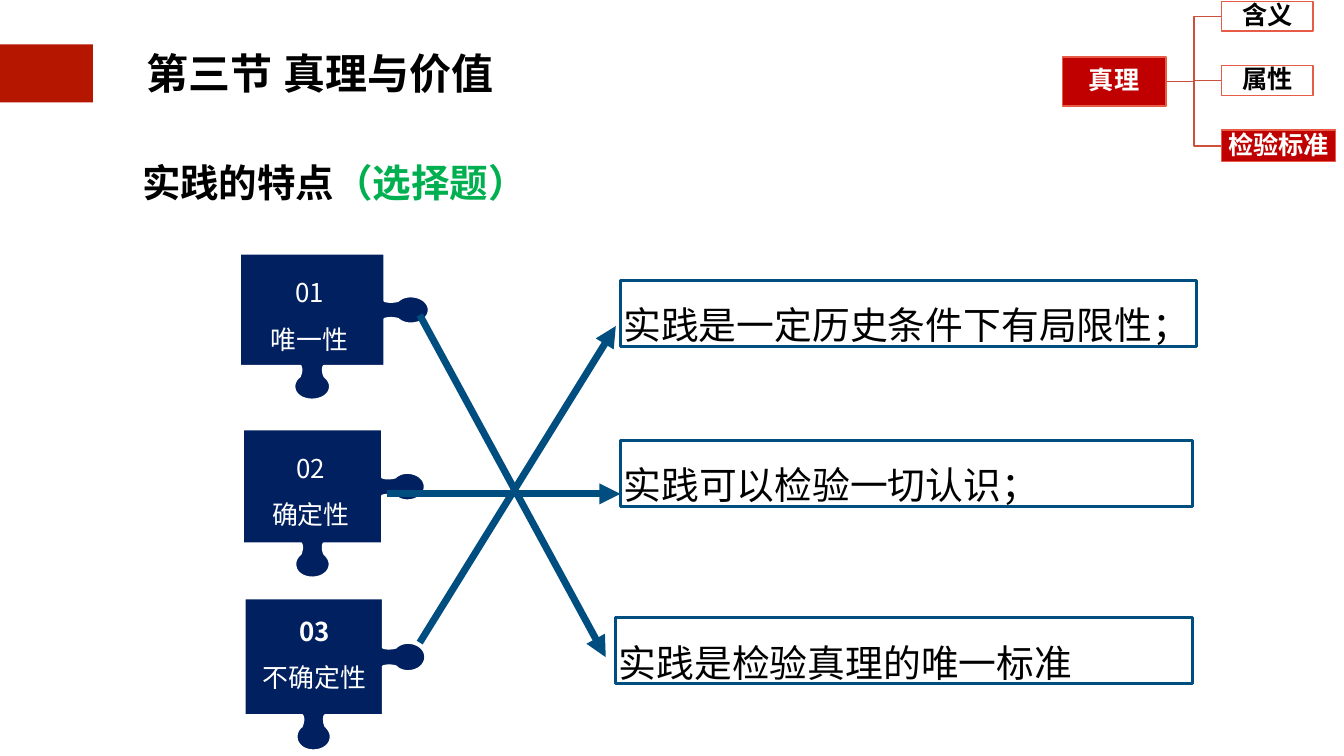
from lxml import etree
from pptx import Presentation
from pptx.dml.color import RGBColor
from pptx.enum.shapes import MSO_CONNECTOR, MSO_SHAPE
from pptx.enum.text import MSO_ANCHOR, MSO_AUTO_SIZE, PP_ALIGN
from pptx.oxml.ns import qn
from pptx.util import Inches, Pt

RECTANGLE = MSO_SHAPE.RECTANGLE
STRAIGHT = MSO_CONNECTOR.STRAIGHT
MIDDLE, TOP = MSO_ANCHOR.MIDDLE, MSO_ANCHOR.TOP
CENTER, LEFT = PP_ALIGN.CENTER, PP_ALIGN.LEFT
NO_FIT = MSO_AUTO_SIZE.NONE

THEME = {
    "font": "Noto Sans CJK SC", "title_font": "Roboto",
    "black": RGBColor.from_string("000000"),
    "white": RGBColor.from_string("FFFFFF"),
    "banner": RGBColor.from_string("B51600"),
    "navy": RGBColor.from_string("002060"),
    "blue": RGBColor.from_string("004D80"),
    "green": RGBColor.from_string("00B050"),
    "red": RGBColor.from_string("C00000"),
    "red_edge": RGBColor.from_string("E75B47"),
    "branch": RGBColor.from_string("CC503E"),
    "title": 60, "subtitle": 55, "statement": 54, "label": 37, "node": 36,
}

deck = Presentation()
deck.slide_width, deck.slide_height = Inches(26.67), Inches(15)
page = deck.slides.add_slide(deck.slide_layouts[5])
shapes = page.shapes


def share(*values):
    sides = (deck.slide_width, deck.slide_height)
    return [round(value * sides[i % 2] / 100) for i, value in enumerate(values)]


def write(box, lines, size, color, bold=False, align=CENTER, anchor=MIDDLE,
          spacing=1.0, inset=0.06, wrap=True, font=THEME["font"]):
    frame = box.text_frame
    frame.text = "\n".join(lines)
    frame.auto_size, frame.word_wrap, frame.vertical_anchor = NO_FIT, wrap, anchor
    frame.margin_left = frame.margin_right = Inches(inset)
    frame.margin_top = frame.margin_bottom = Inches(inset)
    for para in frame.paragraphs:
        para.alignment, para.line_spacing = align, spacing
        para.space_before = Pt(0)
        for span in para.runs:
            span.font.size, span.font.bold = Pt(size), bold
            span.font.color.rgb = color
            span.font.name = font
            east_asian = etree.SubElement(span.font._element, qn("a:ea"))
            east_asian.set("typeface", font)
    return frame


banner = shapes.add_shape(RECTANGLE, *share(-0.1, 5.87, 7.01, 7.67))
banner.shadow.inherit = False
banner.fill.solid()
banner.fill.fore_color.rgb = THEME["banner"]
banner.line.fill.background()

title = shapes.title
title.left, title.top, title.width, title.height = share(10.2, 5.4, 27.22, 8.53)
write(title, ["第三节 真理与价值"], THEME["title"], THEME["black"], bold=True,
      wrap=False, font=THEME["title_font"])

PIECE_WIDTH, PIECE_HEIGHT = 3.75, 2.9
RIGHT_KNOB = [
    (2.87, 0.94), (2.95, 0.97), (3.07, 0.96), (3.14, 0.94),
    (3.2, 0.88), (3.3, 0.85), (3.39, 0.85),
    (3.59, 0.85), (3.75, 0.97), (3.75, 1.12),
    (3.75, 1.27), (3.59, 1.39), (3.39, 1.39),
    (3.3, 1.39), (3.2, 1.36), (3.14, 1.3),
    (3.07, 1.28), (2.95, 1.27), (2.87, 1.3),
]
BOTTOM_KNOB = [
    (1.67, 2.23), (1.65, 2.25), (1.65, 2.28), (1.65, 2.31),
    (1.65, 2.36), (1.66, 2.4), (1.68, 2.44),
    (1.74, 2.49), (1.79, 2.56), (1.79, 2.64),
    (1.79, 2.79), (1.63, 2.9), (1.43, 2.9),
    (1.23, 2.9), (1.08, 2.79), (1.08, 2.64),
    (1.08, 2.56), (1.12, 2.49), (1.19, 2.44),
    (1.2, 2.4), (1.22, 2.36), (1.22, 2.31),
    (1.22, 2.28), (1.21, 2.25), (1.2, 2.23),
]
STEPS = 8
knob_outlines = []
for knob in (RIGHT_KNOB, BOTTOM_KNOB):
    outline = [knob[0]]
    for first in range(0, len(knob) - 1, 3):
        a, b, c, d = knob[first:first + 4]
        for step in range(1, STEPS + 1):
            t = step / STEPS
            u = 1 - t
            outline.append(tuple(
                u**3 * a[i] + 3 * u * u * t * b[i] + 3 * u * t * t * c[i] + t**3 * d[i]
                for i in (0, 1)))
    knob_outlines.append(outline)
piece_outline = [(0, 0), (2.87, 0), *knob_outlines[0], (2.87, 2.23), *knob_outlines[1], (0, 2.23)]

pieces = [
    ("01", "唯一性", (17.85, 33.53, 14.06, 19.33), (18.3, 34.2, 9.49, 17.8)),
    ("02", "确定性", (18.07, 56.8, 13.54, 19.6), (18.56, 57.47, 9.15, 11.13)),
    ("03", "不确定性", (18.19, 79.13, 13.46, 20.13), (18.07, 79, 10.69, 14.27)),
]
for number, trait, (left, top, width, height), label_area in pieces:
    points = [share(left + x / PIECE_WIDTH * width, top + y / PIECE_HEIGHT * height)
              for x, y in piece_outline]
    builder = shapes.build_freeform(*points[0])
    builder.add_line_segments(points[1:], close=True)
    piece = builder.convert_to_shape()
    piece.shadow.inherit = False
    piece.fill.solid()
    piece.fill.fore_color.rgb = THEME["navy"]
    piece.line.color.rgb, piece.line.width = THEME["white"], Pt(3)
    label = shapes.add_textbox(*share(*label_area))
    frame = write(label, [number, trait], THEME["label"], THEME["white"],
                  anchor=TOP, spacing=1.5, inset=0.05)
    frame.paragraphs[0].runs[0].font.bold = number == "03"

subtitle = shapes.add_textbox(*share(10.2, 20.6, 29.36, 6.93))
frame = write(subtitle, ["实践的特点"], THEME["subtitle"], THEME["black"], bold=True, wrap=False)
hint = frame.paragraphs[0].add_run()
hint.text = "（选择题）"
hint.font.size, hint.font.bold = Pt(THEME["subtitle"]), True
hint.font.color.rgb = THEME["green"]
hint.font.name = THEME["font"]
etree.SubElement(hint.font._element, qn("a:ea")).set("typeface", THEME["font"])

statements = [
    ("实践是一定历史条件下有局限性；", 46.16, 37.07, 42.89),
    ("实践可以检验一切认识；", 46.16, 58.27, 42.59),
    ("实践是检验真理的唯一标准", 45.82, 81.73, 42.89),
]
for text, left, top, width in statements:
    box = shapes.add_shape(RECTANGLE, *share(left, top, width, 8.73))
    box.shadow.inherit = False
    box.fill.background()
    box.line.color.rgb, box.line.width = THEME["blue"], Pt(4)
    write(box, [text], THEME["statement"], THEME["black"], align=LEFT, spacing=1.5)

HUB_RIGHT, TRUNK, LEAF_LEFT, HUB_MIDDLE = 86.76, 88.83, 90.89, 10.77
for leaf_middle in (19.3, 10.63, 2.17):
    bends = [share(TRUNK, HUB_MIDDLE), share(TRUNK, leaf_middle), share(LEAF_LEFT, leaf_middle)]
    builder = shapes.build_freeform(*share(HUB_RIGHT, HUB_MIDDLE))
    builder.add_line_segments(bends, close=False)
    branch = builder.convert_to_shape()
    branch.shadow.inherit = False
    branch.fill.background()
    branch.line.color.rgb, branch.line.width = THEME["branch"], Pt(2)

nodes = [
    ("真理", (79.04, 7.53, 7.72, 6.47), True),
    ("含义", (LEAF_LEFT, 0.2, 6.82, 3.93), False),
    ("属性", (LEAF_LEFT, 8.67, 6.82, 3.93), False),
    ("检验标准", (LEAF_LEFT, 17.2, 8.47, 4.2), True),
]
for text, area, active in nodes:
    node = shapes.add_shape(RECTANGLE, *share(*area))
    node.shadow.inherit = False
    if active:
        node.fill.solid()
        node.fill.fore_color.rgb = THEME["red"]
    else:
        node.fill.background()
    node.line.color.rgb, node.line.width = THEME["red_edge"], Pt(2)
    write(node, [text], THEME["node"], THEME["white" if active else "black"],
          bold=True, spacing=0.9, inset=0.03)

matches = [
    (31.23, 41.67, 45.07, 86.93),
    (28.76, 65.33, 46.16, 65.33),
    (31.23, 85, 45.82, 43.13),
]
for ends in matches:
    arrow = shapes.add_connector(STRAIGHT, *share(*ends))
    arrow.line.color.rgb, arrow.line.width = THEME["blue"], Pt(10)
    etree.SubElement(arrow.line._get_or_add_ln(), qn("a:tailEnd")).set("type", "triangle")
    etree.SubElement(arrow._element.spPr, qn("a:effectLst"))

deck.save("out.pptx")
